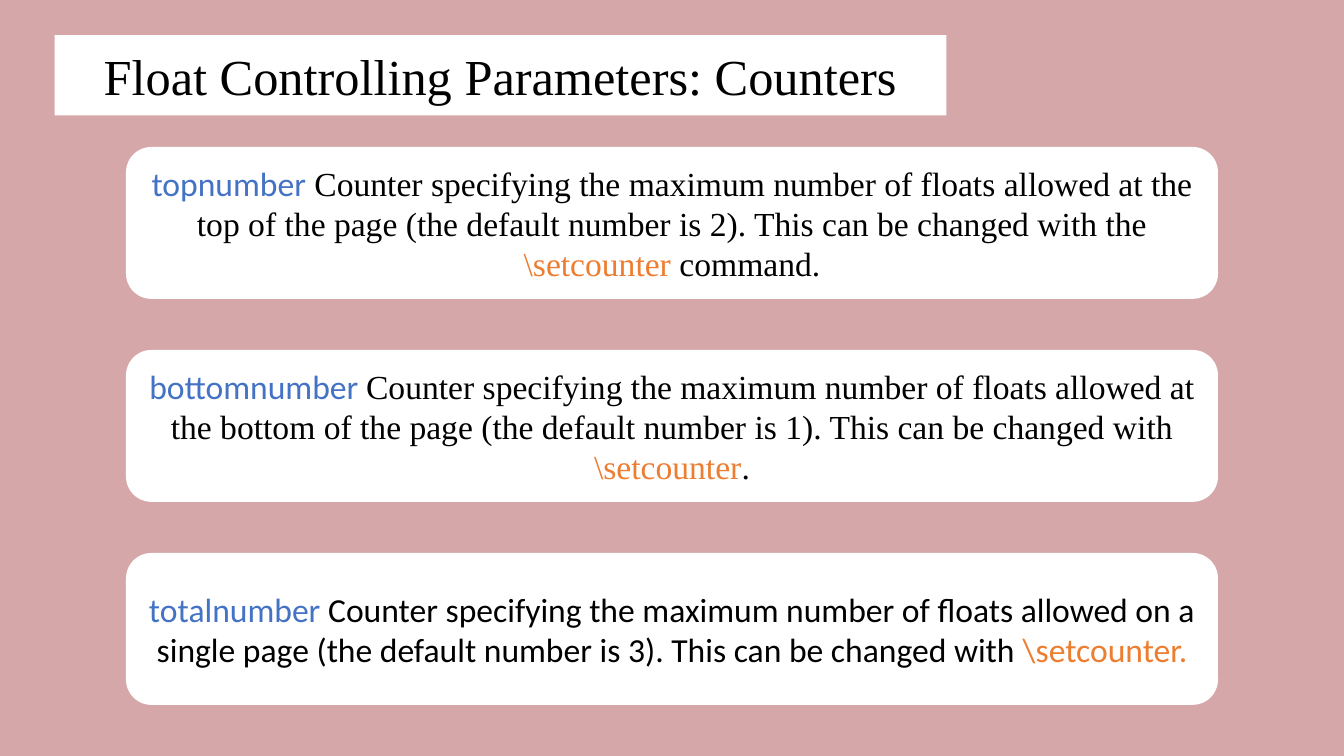
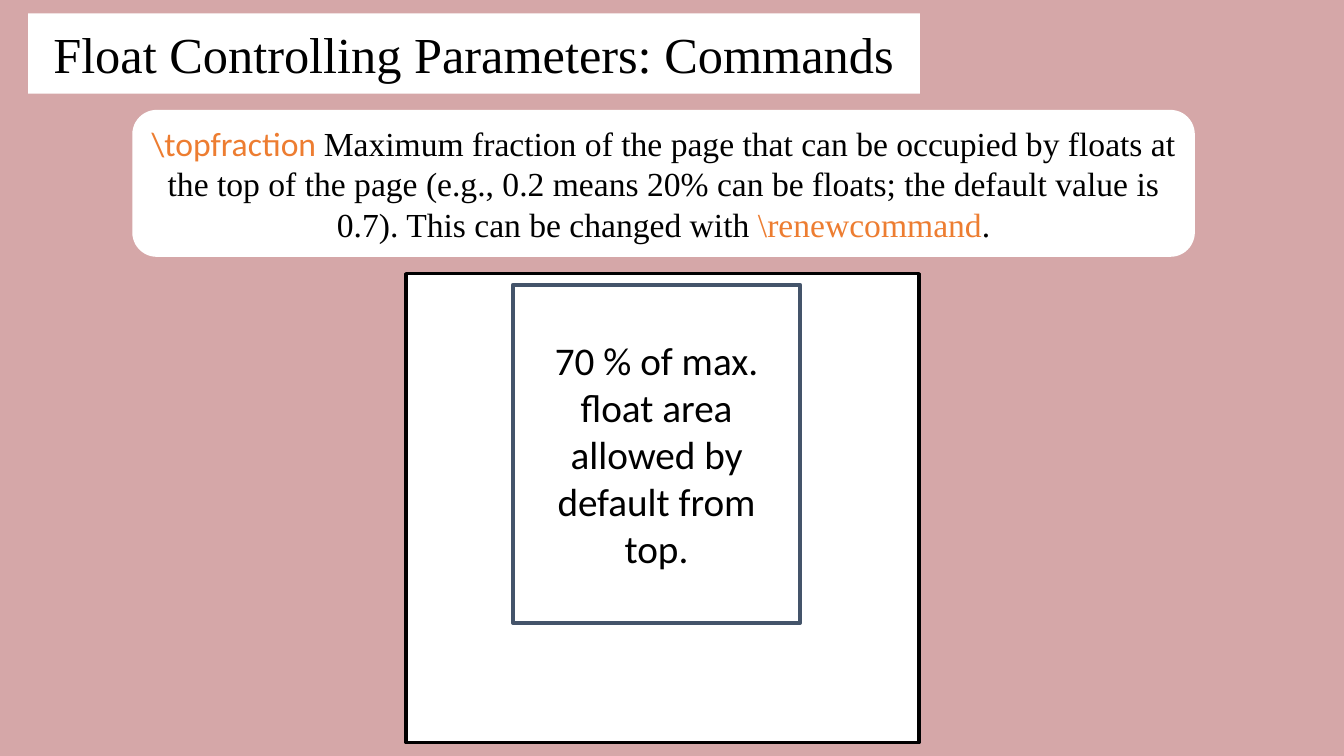
from lxml import etree
from pptx import Presentation
from pptx.dml.color import RGBColor
from pptx.enum.shapes import MSO_SHAPE
from pptx.enum.text import MSO_ANCHOR, MSO_AUTO_SIZE, PP_ALIGN
from pptx.oxml.ns import qn
from pptx.util import Pt

ROSE, WHITE, BLACK = "D5A7A8", "FFFFFF", "000000"
BLUE, ORANGE, SLATE = "4472C4", "ED7D31", "44546A"
SERIF, SANS = "Times New Roman", "Calibri"

rgb = RGBColor.from_string


def style(shape, runs=(), size=24, outline=None, weight=0):
    """Make a white panel with centred (text, font, colour) runs."""
    shape.fill.solid()
    shape.fill.fore_color.rgb = rgb(WHITE)
    if outline:
        shape.line.color.rgb = rgb(outline)
        shape.line.width = Pt(weight)
    else:
        shape.line.fill.background()
    frame = shape.text_frame
    frame.word_wrap = True
    frame.auto_size = MSO_AUTO_SIZE.NONE
    frame.vertical_anchor = MSO_ANCHOR.MIDDLE
    paragraph = frame.paragraphs[0]
    paragraph.alignment = PP_ALIGN.CENTER
    for text, font, colour in runs:
        run = paragraph.add_run()
        run.text = text
        run.font.name = font
        run.font.size = Pt(size)
        run.font.color.rgb = rgb(colour)


def add_panel(shapes, kind, left, top, width, height, **look):
    panel = shapes.add_shape(kind, Pt(left), Pt(top), Pt(width), Pt(height))
    panel.shadow.inherit = False
    style(panel, **look)


deck = Presentation()
deck.slide_width, deck.slide_height = Pt(960), Pt(540)
background = deck.slide_master.background.fill
background.solid()
background.fore_color.rgb = rgb(ROSE)

# Titles: rounded white plates
slides = []
for topic, left, top in [("Counters", 39, 25), ("Commands", 20, 9.5)]:
    slide = deck.slides.add_slide(deck.slide_layouts[5])
    title = slide.shapes.title
    title.left, title.top = Pt(left), Pt(top)
    title.width, title.height = Pt(637), Pt(57.5)
    etree.SubElement(title.element.spPr, qn("a:prstGeom"), prst="roundRect")
    style(title, [(f"Float Controlling Parameters: {topic}", SERIF, BLACK)], size=36)
    slides.append(slide)
counters, commands = slides

# Counters: three equally spaced cards
definitions = [
    [("topnumber", SANS, BLUE),
     (" Counter specifying the maximum number of floats allowed at the top of the page "
      "(the default number is 2). This can be changed with the ", SERIF, BLACK),
     ("\\setcounter ", SERIF, ORANGE),
     ("command.", SERIF, BLACK)],
    [("bottomnumber ", SANS, BLUE),
     ("Counter specifying the maximum number of floats allowed at the bottom of the page "
      "(the default number is 1). This can be changed with ", SERIF, BLACK),
     ("\\setcounter", SERIF, ORANGE),
     (".", SERIF, BLACK)],
    [("totalnumber", SANS, BLUE),
     (" Counter specifying the maximum number of floats allowed on a single page "
      "(the default number is 3). This can be changed with ", SANS, BLACK),
     ("\\setcounter.", SANS, ORANGE)],
]
for row, definition in enumerate(definitions):
    add_panel(counters.shapes, MSO_SHAPE.ROUNDED_RECTANGLE,
              90, 105 + row * 145, 780, 108.5, runs=definition)

# Commands: one card above a sketch of a page
topfraction = [
    ("\\topfraction ", SANS, ORANGE),
    ("Maximum fraction of the page that can be occupied by floats at the top of the page "
     "(e.g., 0.2 means 20% can be floats; the default value is 0.7). "
     "This can be changed with ", SERIF, BLACK),
    ("\\renewcommand", SERIF, ORANGE),
    (".", SERIF, BLACK),
]
add_panel(commands.shapes, MSO_SHAPE.ROUNDED_RECTANGLE,
          94.5, 78.5, 759, 105, runs=topfraction)

page_sketch = commands.shapes.add_group_shape().shapes
add_panel(page_sketch, MSO_SHAPE.RECTANGLE, 290, 195.5, 366.5, 335,
          outline=BLACK, weight=2.25)
float_area = [("70 % of max. float area allowed by default from top.", SANS, BLACK)]
add_panel(page_sketch, MSO_SHAPE.RECTANGLE, 366.5, 203.5, 205, 241.5,
          runs=float_area, size=28, outline=SLATE, weight=3)

deck.save("out.pptx")
